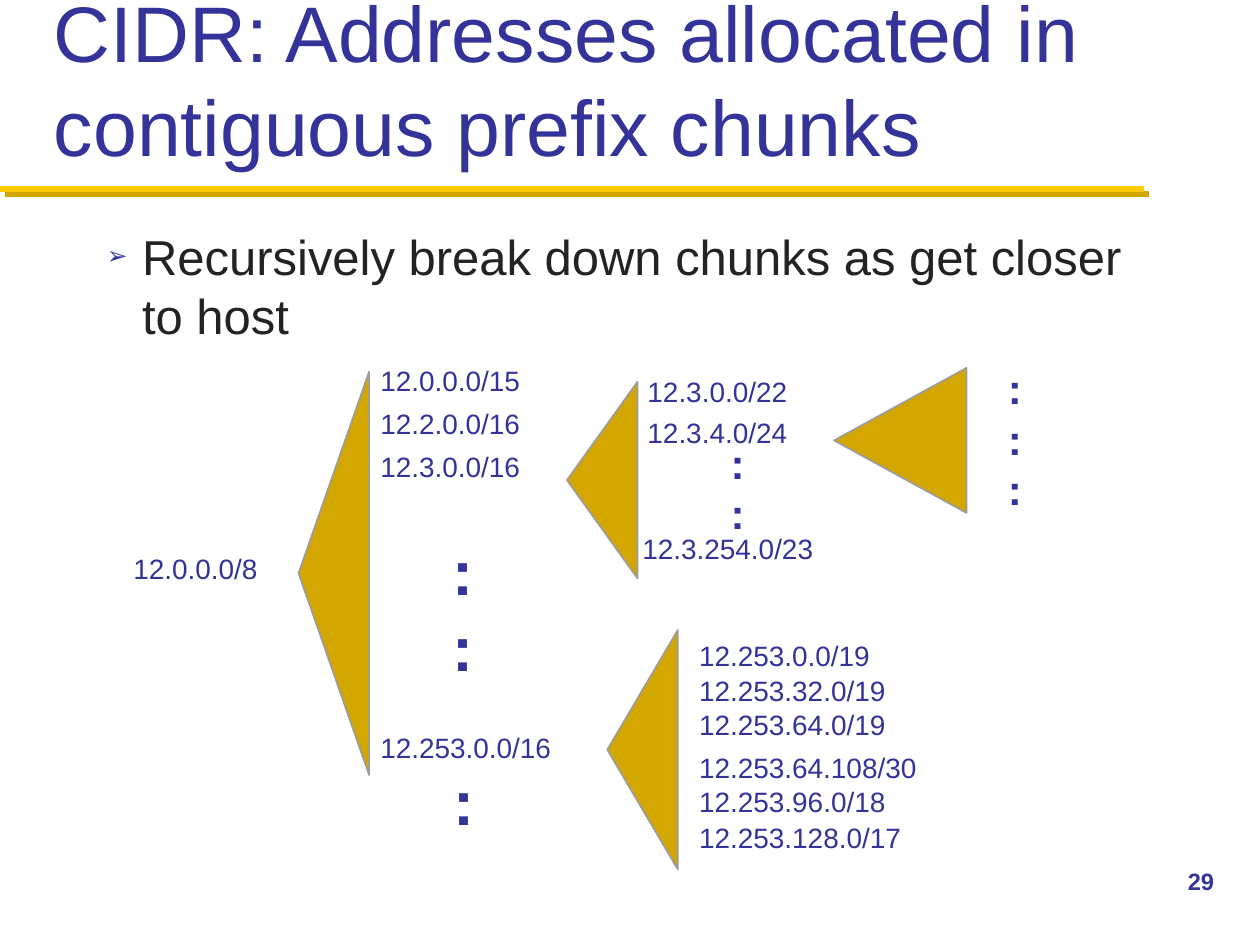
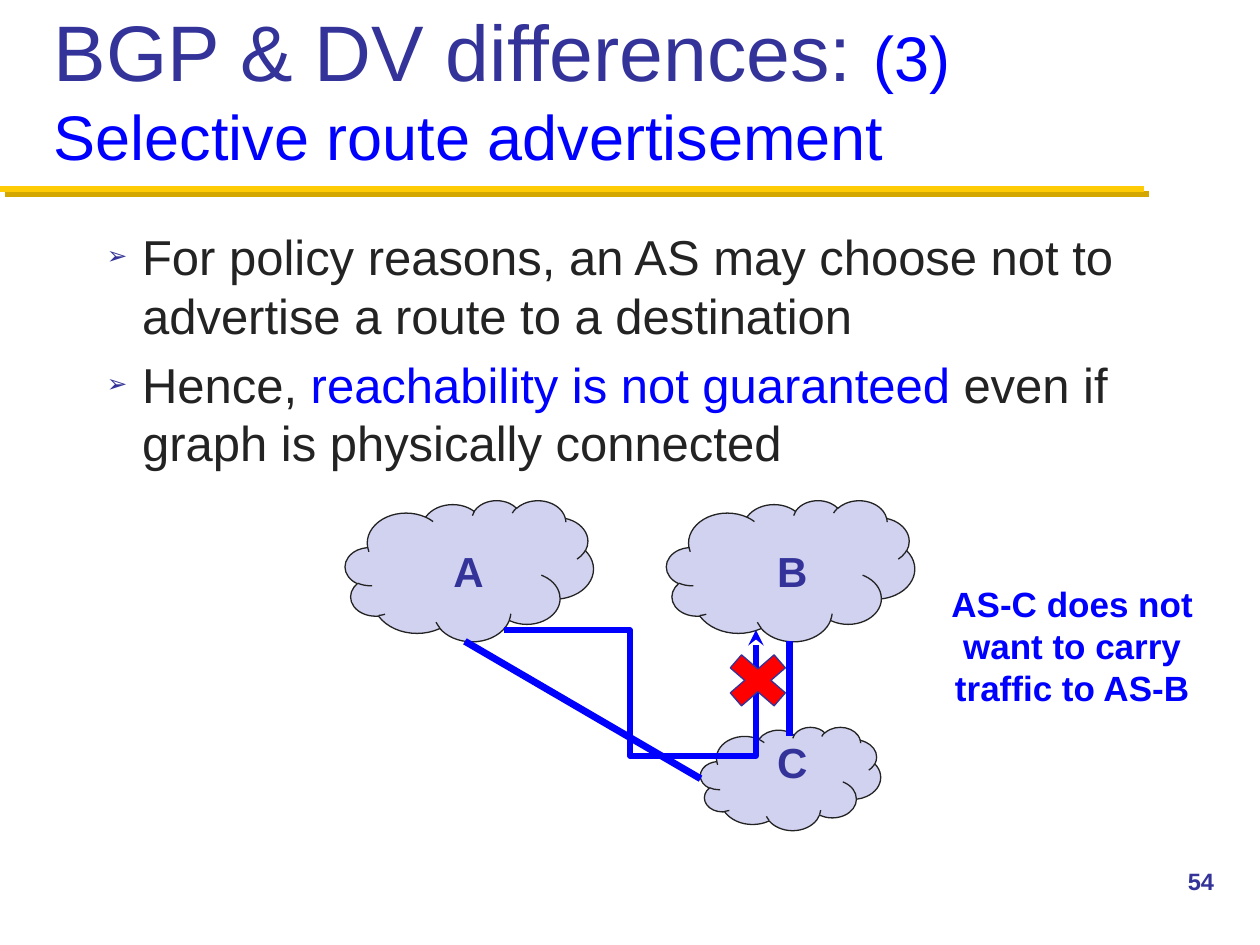
from pptx import Presentation
from pptx.dml.color import RGBColor
from pptx.enum.shapes import MSO_CONNECTOR, MSO_SHAPE
from pptx.enum.text import MSO_ANCHOR, MSO_AUTO_SIZE, PP_ALIGN
from pptx.oxml.ns import qn
from pptx.util import Inches, Pt
from lxml.etree import SubElement

# Shared style
FONT = "Arial"
HUES = {"navy": "333399", "blue": "0000FF", "ink": "232323", "gold": "D3A600",
        "yellow": "FFCB05", "gray": "9C9C9C", "cloud": "D1D1F0", "red": "FF0000"}

# Slide 1: text is a list of paragraphs, each a list of (words, format)
CHUNKS = {
    "page": "29",
    "title": [[("CIDR: Addresses allocated in contiguous prefix chunks", {})]],
    "body": [[("Recursively break down chunks as get closer to host", {})]],
}
BLOCKS = [  # left, then (top, prefix) pairs
    (0.96, [(4.33, "12.0.0.0/8")]),
    (2.92, [(2.84, "12.0.0.0/15"), (3.18, "12.2.0.0/16"), (3.52, "12.3.0.0/16"),
            (5.75, "12.253.0.0/16")]),
    (5.04, [(2.92, "12.3.0.0/22"), (3.25, "12.3.4.0/24")]),
    (5.0, [(4.17, "12.3.254.0/23")]),
    (5.45, [(5.02, "12.253.0.0/19"), (5.3, "12.253.32.0/19"),
            (5.57, "12.253.64.0/19"), (5.91, "12.253.64.108/30"),
            (6.18, "12.253.96.0/18"), (6.46, "12.253.128.0/17")]),
]
WEDGES = [  # left, top, width, height as seen, tip to the left
    (2.37, 2.95, 0.56, 3.2), (4.5, 3.03, 0.56, 1.56),
    (4.82, 5.0, 0.56, 1.9), (6.62, 2.92, 1.05, 1.15),
]
DOTS = [  # left, top, width, height, colons, size
    (3.49, 4.18, 0.34, 1.31, 2, 36), (5.7, 3.42, 0.3, 0.91, 2, 24),
    (7.9, 2.83, 0.3, 1.31, 3, 24), (3.5, 6.0, 0.34, 0.71, 1, 36),
]

# Slide 2
ROUTES = {
    "page": "54",
    "title": [[("BGP & DV differences: ", {}),
               ("(3) Selective route advertisement", {"size": 36, "hue": "blue"})]],
    "body": [
        [("For policy reasons, an AS may choose not to advertise a route "
          "to a destination", {})],
        [("Hence, ", {}), ("reachability is not guaranteed", {"hue": "blue"}),
         (" even if graph is physically connected", {})],
    ],
}
CLOUDS = [(5.56, 5.77, 1.43, 0.82), (5.29, 3.97, 1.97, 1.12), (2.74, 3.97, 1.97, 1.12)]
LINKS = [(3.69, 5.09, 5.56, 6.18), (6.27, 5.09, 6.27, 5.84)]
NAMES = [("A", 3.5, 4.28, 0.39, 0.37), ("B", 6.07, 4.28, 0.37, 0.37),
         ("C", 6.07, 5.8, 0.45, 0.5)]
NOTE = "AS-C does not want to carry traffic to AS-B"
CURVES = [  # two joined Bezier arcs
    [(3.93, 4.89), (4.76, 5.5), (5.59, 6.11), (5.93, 6.08)],
    [(5.93, 6.08), (6.26, 6.04), (5.93, 4.67), (5.93, 4.67)],
]


def tint(hue):
    return RGBColor.from_string(HUES[hue])


def text(slide, paras, box, size=16, hue="navy", bold=False, wrap=False,
         align=PP_ALIGN.LEFT, anchor=MSO_ANCHOR.TOP, mark=False):
    """Add a text box; paras is a string or a list of run lists."""
    if isinstance(paras, str):
        paras = [[(paras, {})]]
    frame = slide.shapes.add_textbox(*map(Inches, box)).text_frame
    frame.word_wrap = wrap
    frame.auto_size = MSO_AUTO_SIZE.NONE if wrap else MSO_AUTO_SIZE.SHAPE_TO_FIT_TEXT
    frame.vertical_anchor = anchor
    for i, runs in enumerate(paras):
        para = frame.add_paragraph() if i else frame.paragraphs[0]
        para.alignment = align
        if mark:
            para.space_before = Pt(0.2 * size if i else 0)
            bullet(para)
        for words, own in runs:
            run = para.add_run()
            run.text = words
            run.font.name = FONT
            run.font.size = Pt(own.get("size", size))
            run.font.bold = bold
            run.font.color.rgb = tint(own.get("hue", hue))


def bullet(para):
    props = para._p.get_or_add_pPr()
    props.set("marL", str(Inches(0.28)))
    props.set("indent", str(-Inches(0.28)))
    SubElement(SubElement(props, qn("a:buClr")), qn("a:srgbClr"), val=HUES["navy"])
    SubElement(props, qn("a:buSzPct"), val="50000")
    SubElement(props, qn("a:buFont"), typeface=FONT)
    SubElement(props, qn("a:buChar"), char="➢")


def shape(slide, kind, box, fill, edge, width):
    item = slide.shapes.add_shape(kind, *map(Inches, box))
    item.shadow.inherit = False
    item.fill.solid()
    item.fill.fore_color.rgb = tint(fill)
    item.line.color.rgb = tint(edge)
    item.line.width = Pt(width)
    return item


def line(slide, ends, hue, width):
    item = slide.shapes.add_connector(MSO_CONNECTOR.STRAIGHT, *map(Inches, ends))
    item.line.color.rgb = tint(hue)
    item.line.width = Pt(width)
    SubElement(item._element.spPr, qn("a:effectLst"))


def wedge(slide, left, top, wide, high):
    """Place a triangle turned to point left inside the given area."""
    shift = (wide - high) / 2
    box = (left + shift, top - shift, high, wide)
    shape(slide, MSO_SHAPE.ISOSCELES_TRIANGLE, box, "gold", "gray", 1).rotation = 270


def trace(arc, steps=30):
    for i in range(1, steps + 1):
        t = i / steps
        parts = ((1 - t) ** 3, 3 * t * (1 - t) ** 2, 3 * t * t * (1 - t), t ** 3)
        yield tuple(sum(w * p[k] for w, p in zip(parts, arc)) for k in (0, 1))


def arrow(slide, arcs):
    pen = slide.shapes.build_freeform(*arcs[0][0], scale=Inches(1))
    pen.add_line_segments([spot for arc in arcs for spot in trace(arc)], close=False)
    item = pen.convert_to_shape()
    item.shadow.inherit = False
    item.fill.background()
    item.line.color.rgb = tint("blue")
    item.line.width = Pt(3)
    SubElement(item.line._get_or_add_ln(), qn("a:tailEnd"), type="stealth")


def base(deck, data):
    """Add a slide with its title, rule, bullets and page number."""
    slide = deck.slides.add_slide(deck.slide_layouts[6])
    for shift, hue in ((0.04, "gold"), (0, "yellow")):
        line(slide, (shift, 1.5 + shift, 9.08 + shift, 1.5 + shift), hue, 3.5)
    text(slide, data["title"], (0.33, 0.17, 9.33, 1.25), size=45, wrap=True,
         anchor=MSO_ANCHOR.BOTTOM)
    text(slide, data["body"], (0.75, 1.75, 8.67, 4.83), size=28, hue="ink",
         wrap=True, mark=True)
    text(slide, data["page"], (9.33, 6.83, 0.67, 0.5), size=13.5, bold=True, wrap=True)
    return slide


def main():
    deck = Presentation()
    deck.slide_width, deck.slide_height = Inches(10), Inches(7.5)

    # Prefix tree
    slide = base(deck, CHUNKS)
    for area in WEDGES:
        wedge(slide, *area)
    for left, rows in BLOCKS:
        for top, block in rows:
            text(slide, block, (left, top, 0.4 + 0.125 * len(block), 0.44))
    for *box, count, size in DOTS:
        text(slide, [[(":", {})]] * count, box, size=size, bold=True)

    # Blocked route
    slide = base(deck, ROUTES)
    for box in CLOUDS:
        shape(slide, MSO_SHAPE.CLOUD, box, "cloud", "ink", 0.75)
    for ends in LINKS:
        line(slide, ends, "blue", 4)
    for name, *box in NAMES:
        text(slide, name, box, size=24, bold=True)
    text(slide, NOTE, (7.21, 4.57, 2.6, 1.11), size=20, hue="blue", bold=True,
         wrap=True, align=PP_ALIGN.CENTER)
    arrow(slide, CURVES)
    shape(slide, MSO_SHAPE.MATH_MULTIPLY, (5.68, 5.11, 0.67, 0.58), "red", "navy", 0.75)

    deck.save("out.pptx")


if __name__ == "__main__":
    main()
